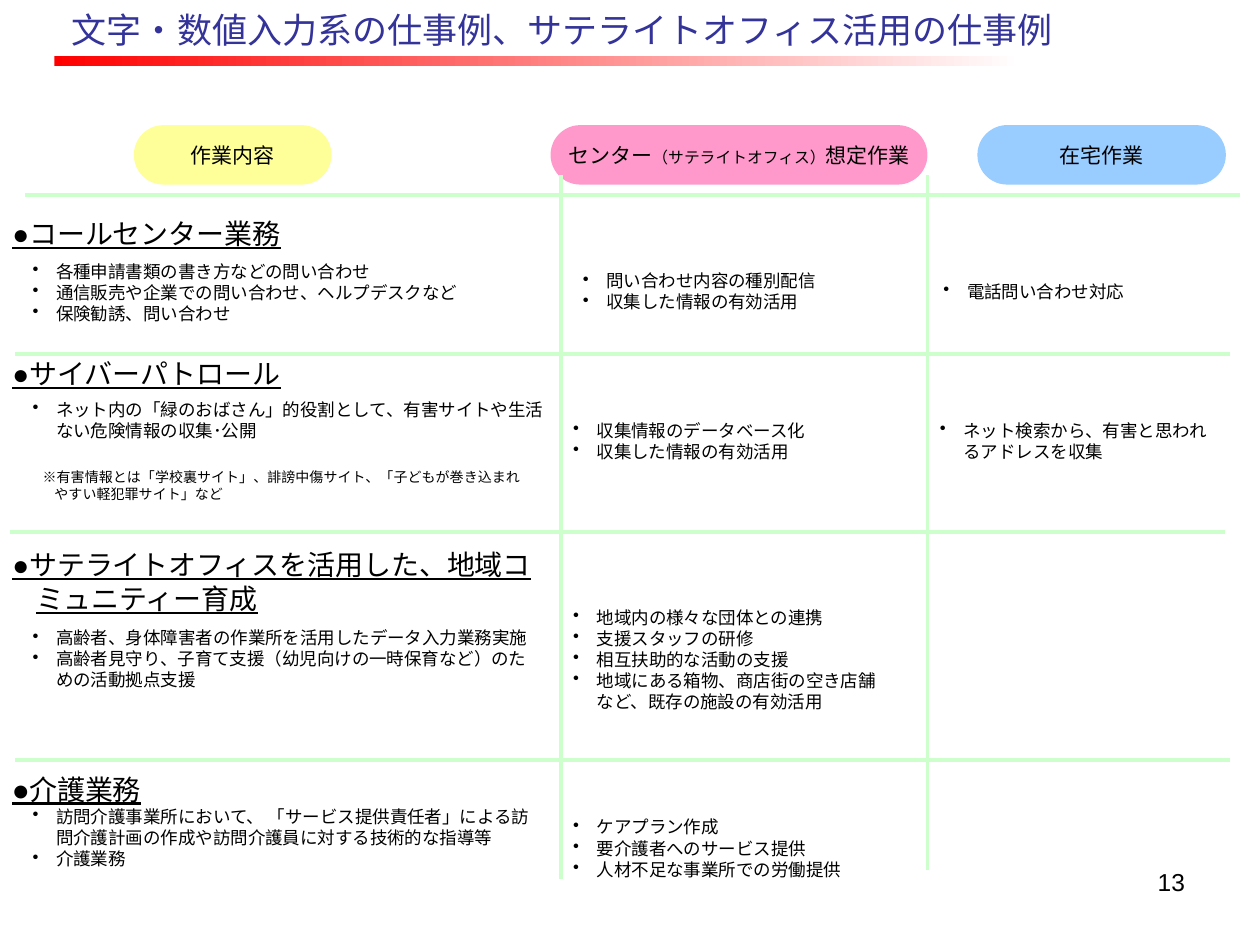
from dataclasses import dataclass

import pptx
import pptx.dml.color
import pptx.enum.dml
import pptx.enum.shapes
import pptx.enum.text
import pptx.oxml.ns
import pptx.util
from lxml import etree

Pt = pptx.util.Pt
RGB = pptx.dml.color.RGBColor.from_string
ALIGN = pptx.enum.text.PP_ALIGN
ANCHOR = pptx.enum.text.MSO_ANCHOR
SHAPE = pptx.enum.shapes.MSO_SHAPE
qn = pptx.oxml.ns.qn


@dataclass(frozen=True)
class Theme:
    text: str = "000000"
    title: str = "333399"
    grid: str = "CCFFCC"
    yellow: str = "FFFF99"
    pink: str = "FF99CC"
    blue: str = "99CCFF"
    bar_start: str = "FF0000"
    bar_end: str = "FFFFFF"
    title_size: int = 20
    heading_size: int = 16
    number_size: int = 14
    label_size: int = 12
    body_size: int = 10
    small_label_size: int = 9
    note_size: int = 8
    face: str = "Arial"
    alternate_face: str = "Calibri"
    japanese_face: str = "Noto Sans CJK JP"


theme = Theme()


def format_run(run, size, color=theme.text, face=theme.face, underline=None):
    run.font.size = Pt(size)
    run.font.name = face
    run.font.underline = underline
    run.font.color.rgb = RGB(color)
    east_asian = etree.SubElement(run.font._element, qn("a:ea"))
    east_asian.set("typeface", face)


def add_text(box, lines, size, indent=0, bullet=False, wrap=True,
             anchor=ANCHOR.TOP, align=None, **style):
    """Add a text box with one paragraph per line and a hanging indent in points."""
    frame = slide.shapes.add_textbox(*map(Pt, box)).text_frame
    frame.word_wrap = wrap
    frame.vertical_anchor = anchor
    frame.text = "\n".join(lines)
    for paragraph in frame.paragraphs:
        paragraph.alignment = align
        if indent:
            properties = paragraph._p.get_or_add_pPr()
            properties.set("marL", str(Pt(indent)))
            properties.set("indent", str(-Pt(indent)))
            if bullet:
                etree.SubElement(properties, qn("a:buChar")).set("char", "•")
        format_run(paragraph.runs[0], size, **style)


presentation = pptx.Presentation()
presentation.slide_width = Pt(720)
presentation.slide_height = Pt(540)
slide = presentation.slides.add_slide(presentation.slide_layouts[6])

# Title and its fading underline
bar = slide.shapes.add_shape(SHAPE.RECTANGLE, Pt(31), Pt(32), Pt(553), Pt(5.7))
bar.shadow.inherit = False
bar.line.fill.background()
bar.fill.gradient()
bar.fill.gradient_angle = 0
for stop, position, color in zip(bar.fill.gradient_stops, (0, 1),
                                 (theme.bar_start, theme.bar_end)):
    stop.position = position
    stop.color.rgb = RGB(color)
add_text((34, 0, 686, 34), ["文字・数値入力系の仕事例、サテライトオフィス活用の仕事例"],
         theme.title_size, wrap=False, anchor=ANCHOR.MIDDLE, color=theme.title)

# Column labels
column_labels = [
    (314.6, 215.4, theme.pink, [("センター", theme.label_size),
                                ("（サテライトオフィス）", theme.small_label_size),
                                ("想定作業", theme.label_size)]),
    (558.5, 142, theme.blue, [("在宅作業", theme.label_size)]),
    (76.5, 113, theme.yellow, [("作業内容", theme.label_size)]),
]
for left, width, fill, parts in column_labels:
    label = slide.shapes.add_shape(SHAPE.ROUNDED_RECTANGLE, Pt(left), Pt(71.5),
                                   Pt(width), Pt(34))
    label.adjustments[0] = 0.5
    label.shadow.inherit = False
    label.fill.solid()
    label.fill.fore_color.rgb = RGB(fill)
    label.line.fill.background()
    label.text_frame.word_wrap = False
    label.text_frame.vertical_anchor = ANCHOR.MIDDLE
    paragraph = label.text_frame.paragraphs[0]
    paragraph.alignment = ALIGN.CENTER
    for text, size in parts:
        run = paragraph.add_run()
        run.text = text
        format_run(run, size)

# Grid lines
row_width = 694
vertical_lines = [(320.4, 100, 320.4, 502.5), (530, 100, 530, 497)]
row_starts = [(14.5, 111.5), (8.6, 202.3), (5.8, 304), (8.6, 434.2)]
horizontal_lines = [(x, y, x + row_width, y) for x, y in row_starts]
for ends in vertical_lines + horizontal_lines:
    connector = slide.shapes.add_connector(
        pptx.enum.shapes.MSO_CONNECTOR.STRAIGHT, *map(Pt, ends))
    connector.line.color.rgb = RGB(theme.grid)
    connector.line.width = Pt(2.25)
    etree.SubElement(connector._element.spPr, qn("a:effectLst"))

# Row headings
headings = [
    (116.6, 34, "●コールセンター業務", theme.face),
    (196.6, 34, "●サイバーパトロール", theme.face),
    (309.6, 45.4, "●サテライトオフィスを活用した、地域コミュニティー育成", theme.face),
    (428.4, 45.4, "●介護業務", theme.alternate_face),
]
for top, height, text, face in headings:
    add_text((0, top, 312, height), [text], theme.heading_size, indent=13.5,
             anchor=ANCHOR.MIDDLE, face=face, underline=True)

# Bulleted cells: box, font, lines
cells = [
    ((11.5, 145.4, 306, 62), theme.alternate_face,
     ["各種申請書類の書き方などの問い合わせ",
      "通信販売や企業での問い合わせ、ヘルプデスクなど",
      "保険勧誘、問い合わせ"]),
    ((326, 151, 199, 45), theme.face,
     ["問い合わせ内容の種別配信", "収集した情報の有効活用"]),
    ((532, 157, 170, 28), theme.face, ["電話問い合わせ対応"]),
    ((11.5, 224.6, 306, 62), theme.face,
     ["ネット内の「緑のおばさん」的役割として、有害サイトや生活ない危険情報の収集･公開"]),
    ((320.4, 236.2, 199, 40), theme.face,
     ["収集情報のデータベース化", "収集した情報の有効活用"]),
    ((530, 236.2, 170, 29), theme.face,
     ["ネット検索から、有害と思われるアドレスを収集"]),
    ((11.5, 355, 306, 108), theme.face,
     ["高齢者、身体障害者の作業所を活用したデータ入力業務実施",
      "高齢者見守り、子育て支援（幼児向けの一時保育など）のための活動拠点支援"]),
    ((320.4, 343.4, 193, 68), theme.face,
     ["地域内の様々な団体との連携", "支援スタッフの研修", "相互扶助的な活動の支援",
      "地域にある箱物、商店街の空き店舗など、既存の施設の有効活用"]),
    ((11.5, 457.2, 306, 108), theme.japanese_face,
     ["訪問介護事業所において、 「サービス提供責任者」による訪問介護計画の作成や"
      "訪問介護員に対する技術的な指導等",
      "介護業務"]),
    ((320.4, 463, 193, 51), theme.alternate_face,
     ["ケアプラン作成", "要介護者へのサービス提供", "人材不足な事業所での労働提供"]),
]
for box, face, lines in cells:
    add_text(box, lines, theme.body_size, indent=13.5, bullet=True, face=face)

add_text((17.3, 264.2, 295, 34),
         ["※有害情報とは「学校裏サイト」、誹謗中傷サイト、"
          "「子どもが巻き込まれやすい軽犯罪サイト」など"],
         theme.note_size, indent=6.75)
add_text((516.2, 491.8, 168, 37.4), ["13"], theme.number_size, align=ALIGN.RIGHT)

presentation.save("out.pptx")
